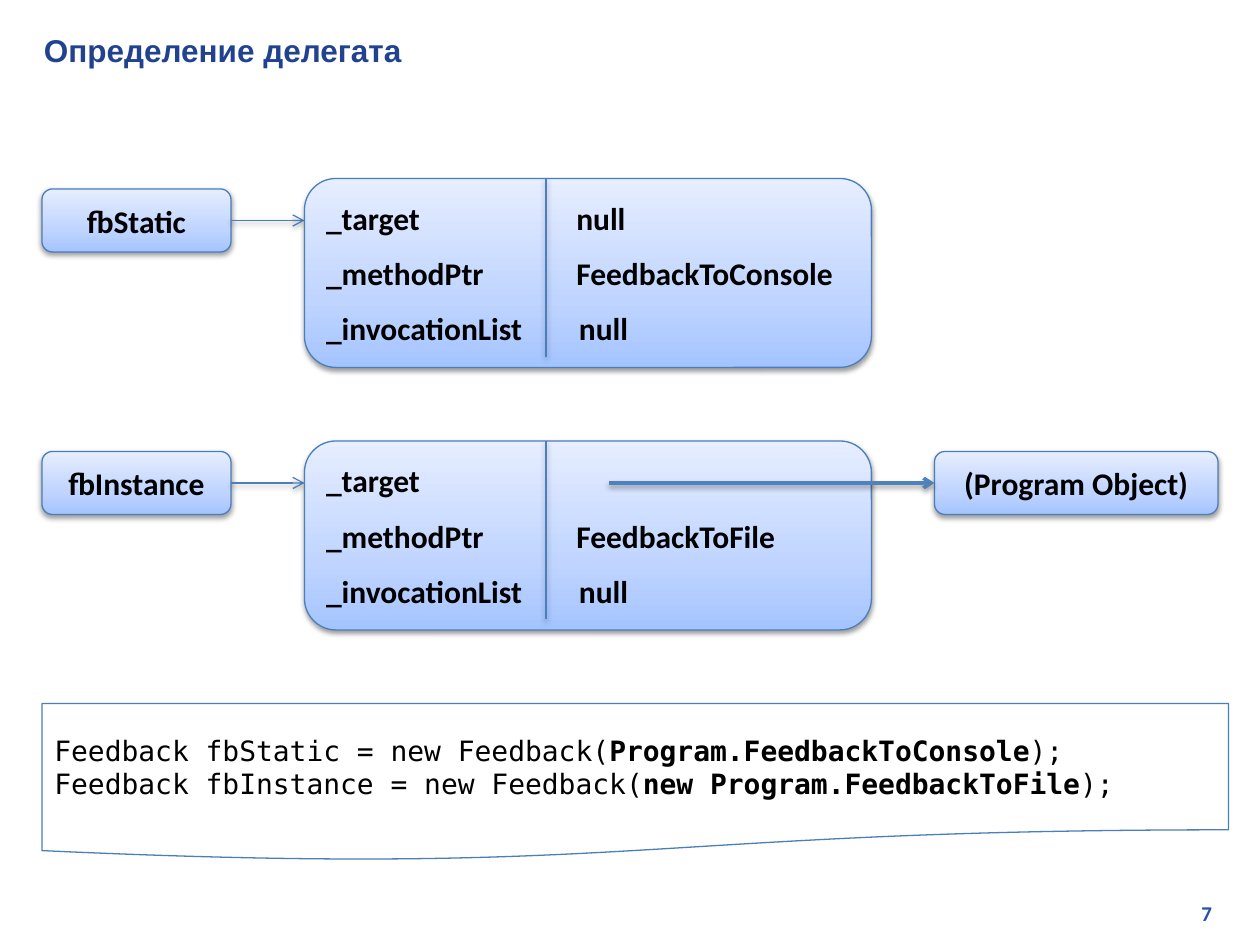
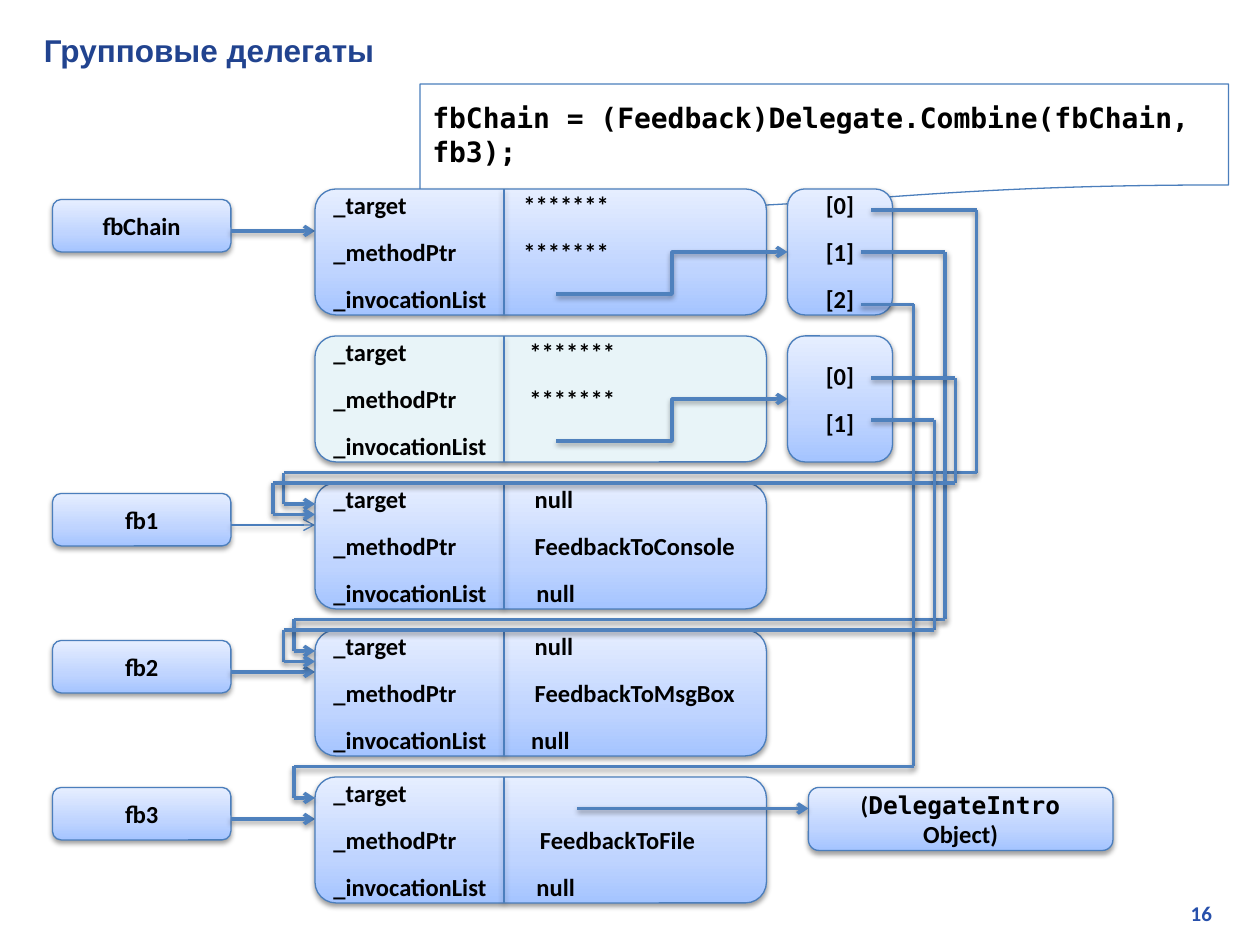
import itertools
from dataclasses import dataclass

import pptx
import pptx.dml.color
import pptx.enum.shapes
import pptx.enum.text
import pptx.oxml
import pptx.oxml.ns
import pptx.util

Pt = pptx.util.Pt
SHAPE = pptx.enum.shapes.MSO_SHAPE
CONNECTOR = pptx.enum.shapes.MSO_CONNECTOR
ALIGN = pptx.enum.text.PP_ALIGN
ANCHOR = pptx.enum.text.MSO_ANCHOR


@dataclass(frozen=True)
class Theme:
    title: str = "21438F"
    number: str = "2750AB"
    ink: str = "000000"
    paper: str = "FFFFFF"
    outline: str = "4B7EBC"
    link: str = "4F81BD"
    pale: str = "E8F4F8"
    gradient: tuple = ((0, "A4C4FF"), (35, "BFD4FF"), (100, "E6EEFF"))
    title_font: str = "Arial"
    body_font: str = "Calibri"
    code_font: str = "DejaVu Sans Mono"
    title_size: int = 18
    large: int = 18
    small: int = 14
    code_size: int = 16
    number_size: int = 12
    thin: float = 0.75
    thick: float = 2


THEME = Theme()

# Content: record fields are (value, tab position in points)
FIELDS = ("_target", "_methodPtr", "_invocationList")
EMPTY = ("", 0)

DEFINITION = {
    "title": "Определение делегата",
    "number": "7",
    "records": [
        ("fbStatic", [("null", 143), ("FeedbackToConsole", 143), ("null", 144.5)]),
        ("fbInstance", [EMPTY, ("FeedbackToFile", 143), ("null", 144.5)]),
    ],
    "object": "(Program Object)",
    "code": [
        ["Feedback fbStatic = new Feedback(",
         ("Program.FeedbackToConsole", {"bold": True}), ");"],
        ["Feedback fbInstance = new Feedback(",
         ("new Program.FeedbackToFile", {"bold": True}), ");"],
    ],
}

STARS = "*******"
CHAIN = {
    "title": "Групповые делегаты",
    "number": "16",
    "records": [
        ("fbChain", [(STARS, 108.5), (STARS, 108.5), EMPTY]),
        (None, [(STARS, 112), (STARS, 112), EMPTY]),
        ("fb1", [("null", 115), ("FeedbackToConsole", 115), ("null", 116)]),
        ("fb2", [("null", 115), ("FeedbackToMsgBox", 115), ("null", 113)]),
        ("fb3", [EMPTY, ("FeedbackToFile", 118), ("null", 116)]),
    ],
    "lists": [["[0]", "[1]", "[2]"], ["[0]", "[1]"]],
    "object": [["(", ("DelegateIntro ", {"font": THEME.code_font}), "Object)"]],
    "code": ["fbChain = (Feedback)Delegate.Combine(fbChain, fb3);"],
}

# Routes from list items to records: start x, start y, right x, lane y, left x
ROUTES = [
    (498, 120, 558, 270, 162),
    (492, 144, 540, 354, 168),
    (492, 174, 522, 438, 168),
    (498, 216, 546, 276, 156),
    (498, 240, 534, 360, 162),
]
LANE_DROP = 18


def rgb(value):
    return pptx.dml.color.RGBColor.from_string(value)


def element(xml):
    name, rest = xml[1:].split(">", 1) if xml.index(">") < xml.index(" ") else xml[1:].split(" ", 1)
    joint = ">" if xml[len(name) + 1] == ">" else " "
    return pptx.oxml.parse_xml(f"<{name} {pptx.oxml.ns.nsdecls('a')}{joint}{rest}")


def add_shadow(item):
    item._element.spPr.append(element(
        f'<a:effectLst><a:outerShdw blurRad="{Pt(3.1)}" dist="{Pt(1.6)}" dir="5400000" '
        'rotWithShape="0"><a:srgbClr val="000000"><a:alpha val="38000"/></a:srgbClr>'
        '</a:outerShdw></a:effectLst>'))


def write(box, paragraphs, *, size, font=THEME.body_font, color=THEME.ink, bold=True,
          align=ALIGN.LEFT, anchor=ANCHOR.MIDDLE, after=0, tabs=()):
    """Fill a box; a paragraph is a string or a list of strings and (text, overrides)."""
    frame = box.text_frame
    frame.word_wrap = True
    frame.vertical_anchor = anchor
    for index, (spans, tab) in enumerate(itertools.zip_longest(paragraphs, tabs)):
        para = frame.add_paragraph() if index else frame.paragraphs[0]
        para.alignment = align
        para.space_after = Pt(after)
        if tab:
            para._p.get_or_add_pPr().append(element(
                f'<a:tabLst><a:tab pos="{Pt(tab)}" algn="l"/></a:tabLst>'))
        for part in [spans] if isinstance(spans, str) else spans:
            text, changes = (part, {}) if isinstance(part, str) else part
            span = para.add_run()
            span.text = text
            span.font.size = Pt(size)
            span.font.name = changes.get("font", font)
            span.font.bold = changes.get("bold", bold)
            span.font.color.rgb = rgb(color)


def add_box(page, kind, place, fill=None):
    """Outlined shape; without a fill colour it gets the shared gradient."""
    box = page.shapes.add_shape(kind, *map(Pt, place))
    if fill:
        box.fill.solid()
        box.fill.fore_color.rgb = rgb(fill)
    else:
        box.fill.gradient()
        box.fill.gradient_angle = 90
        stops = box._element.spPr.find(".//" + pptx.oxml.ns.qn("a:gsLst"))
        for stop in list(stops):
            stops.remove(stop)
        for position, color in THEME.gradient:
            stops.append(element(
                f'<a:gs pos="{position * 1000}"><a:srgbClr val="{color}"/></a:gs>'))
    box.line.color.rgb = rgb(THEME.outline)
    box.line.width = Pt(THEME.thin)
    return box


def add_card(page, place, paragraphs, size, fill=None, align=ALIGN.CENTER, tabs=()):
    card = add_box(page, SHAPE.ROUNDED_RECTANGLE, place, fill)
    add_shadow(card)
    write(card, paragraphs, size=size, align=align, after=10, tabs=tabs)


def add_record(page, place, divider, fields, size, fill=None):
    """Delegate record: field names, tabbed values and a divider (x, height)."""
    rows = [f"{name}\t{value}" if value else name
            for name, (value, _) in zip(FIELDS, fields)]
    add_card(page, place, rows, size, fill, ALIGN.LEFT, [tab for _, tab in fields])
    x, height = divider
    add_line(page, (x, place[1]), (x, place[1] + height), thick=False, arrow=False)


def add_line(page, start, end, thick=True, arrow=True, kind=CONNECTOR.STRAIGHT):
    line = page.shapes.add_connector(kind, *map(Pt, (*start, *end)))
    line.line.color.rgb = rgb(THEME.link if thick else THEME.outline)
    line.line.width = Pt(THEME.thick if thick else THEME.thin)
    if arrow:
        line.line._get_or_add_ln().append(element('<a:tailEnd type="arrow"/>'))
    add_shadow(line)


def add_route(page, points):
    legs = list(itertools.pairwise(points))
    for start, end in legs:
        add_line(page, start, end, arrow=end == points[-1])


def add_code(page, place, lines, bold):
    box = add_box(page, SHAPE.FLOWCHART_DOCUMENT, place, THEME.paper)
    box.shadow.inherit = False
    write(box, lines, size=THEME.code_size, font=THEME.code_font, bold=bold)


def add_page(deck, content):
    page = deck.slides.add_slide(deck.slide_layouts[6])
    title = page.shapes.add_textbox(Pt(18), Pt(14.4), Pt(687), Pt(28.8))
    write(title, [content["title"]], size=THEME.title_size, font=THEME.title_font,
          color=THEME.title)
    number = page.shapes.add_textbox(Pt(547), Pt(511), Pt(152.6), Pt(21.6))
    write(number, [content["number"]], size=THEME.number_size, color=THEME.number,
          align=ALIGN.RIGHT, anchor=ANCHOR.TOP)
    return page


def build_definition(deck):
    page = add_page(deck, DEFINITION)
    for row, (name, fields) in enumerate(DEFINITION["records"]):
        top = 102 + 150 * row
        add_card(page, (24, top + 6, 108, 36), [name], THEME.large)
        add_line(page, (132, top + 24), (174, top + 24), thick=False)
        add_record(page, (174, top, 324, 108), (312, 102), fields, THEME.large)
    # Target of the last record
    add_card(page, (534, top + 6, 162, 36), [DEFINITION["object"]], THEME.large)
    add_line(page, (348, top + 24), (534, top + 24))
    add_code(page, (24, 402, 678, 90), DEFINITION["code"], bold=False)


def build_chain(deck):
    page = add_page(deck, CHAIN)
    add_code(page, (240, 48, 462, 72), CHAIN["code"], bold=True)
    tops = [108 + 84 * row for row in range(len(CHAIN["records"]))]
    for top, (name, fields) in zip(tops, CHAIN["records"]):
        if name:
            add_card(page, (30, top + 6, 102, 30), [name], THEME.small)
            add_line(page, (132, top + 24), (180, top + 24), thick=name != "fb1")
        add_record(page, (180, top, 258, 72), (288, 72), fields, THEME.small,
                   fill=None if name else THEME.pale)
    # Invocation lists
    for top, items in zip(tops, CHAIN["lists"]):
        add_card(page, (450, top, 60, 72), items, THEME.small)
        add_line(page, (318, top + 60), (450, top + 36), kind=CONNECTOR.ELBOW)
    # Target of the last record
    add_card(page, (462, tops[-1] + 6, 174, 36), CHAIN["object"], THEME.small)
    add_line(page, (330, tops[-1] + 18), (462, tops[-1] + 18))
    # Links from list items back to the records
    for x, y, right, lane, left in ROUTES:
        entry = lane + LANE_DROP
        add_route(page, [(x, y), (right, y), (right, lane), (left, lane),
                         (left, entry), (180, entry)])


def main():
    deck = pptx.Presentation()
    deck.slide_width, deck.slide_height = Pt(720), Pt(540)
    build_definition(deck)
    build_chain(deck)
    deck.save("out.pptx")


if __name__ == "__main__":
    main()
